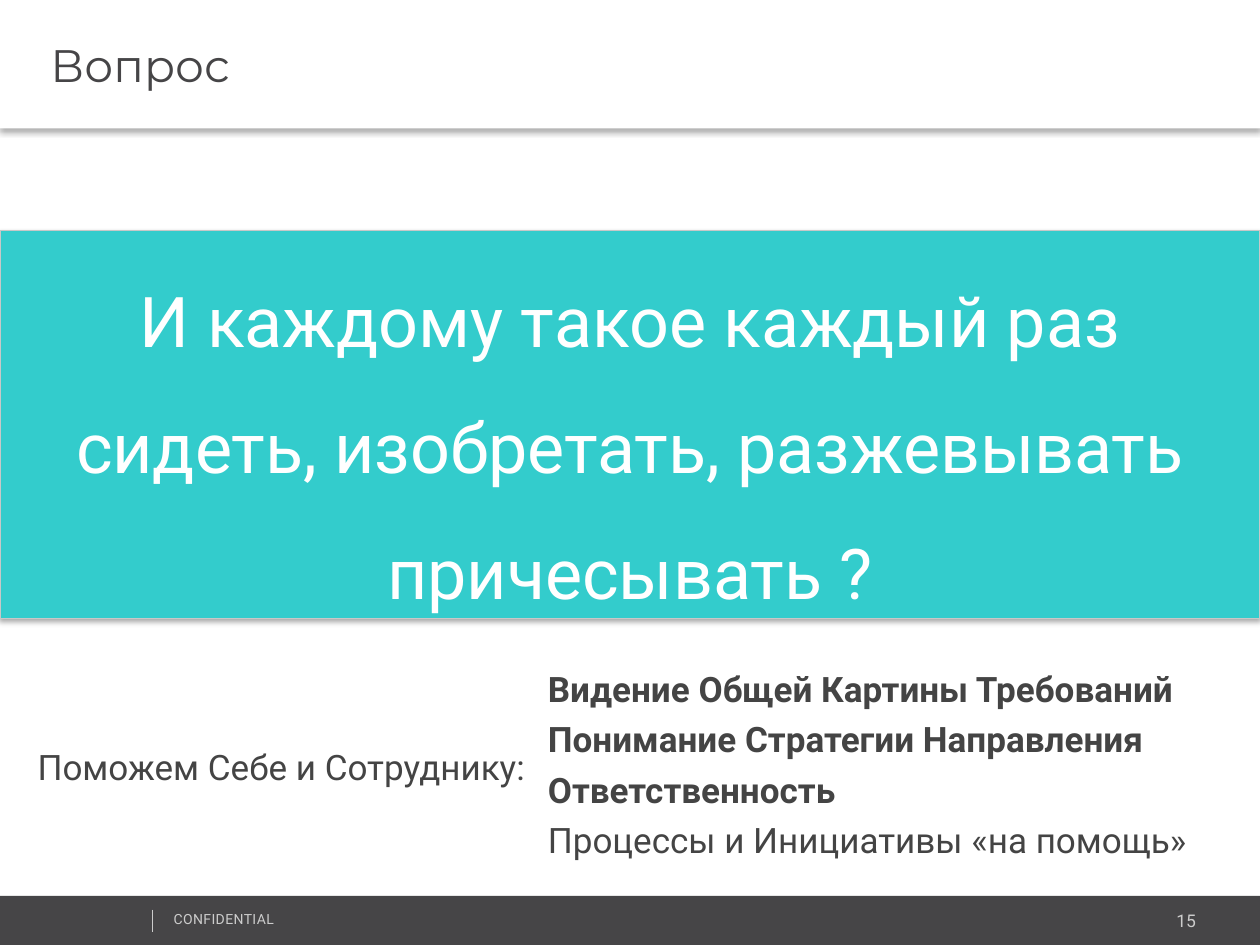
from lxml import etree
from pptx import Presentation
from pptx.dml.color import RGBColor
from pptx.enum.shapes import MSO_CONNECTOR, MSO_SHAPE
from pptx.enum.text import MSO_ANCHOR, PP_ALIGN
from pptx.oxml.ns import qn
from pptx.util import Inches, Pt

RECTANGLE = MSO_SHAPE.RECTANGLE
STRAIGHT = MSO_CONNECTOR.STRAIGHT
LEFT, CENTER, RIGHT = PP_ALIGN.LEFT, PP_ALIGN.CENTER, PP_ALIGN.RIGHT
TOP, MIDDLE = MSO_ANCHOR.TOP, MSO_ANCHOR.MIDDLE

WIDTH, HEIGHT = 10, 7.5
COLUMNS, ROWS = 100, 75
COLORS = {
    "white": "FFFFFF",
    "dark": "464547",
    "text": "444444",
    "teal": "33CCCC",
    "border": "C8C8C8",
    "muted": "CCCCCC",
    "shadow": "000000",
}


def color(name):
    return RGBColor.from_string(COLORS[name])


class SlideBuilder:
    """Draws on one slide; lengths are columns and rows of the grid."""

    font = "Roboto"

    def __init__(self, slide):
        self.slide = slide

    def place(self, column, row):
        return Inches(column * WIDTH / COLUMNS), Inches(row * HEIGHT / ROWS)

    def area(self, box):
        return (*self.place(*box[:2]), *self.place(*box[2:]))

    def panel(self, box, fill, border=None, shadow=None):
        """Rectangle; shadow is (opacity %, blur pt, distance pt)."""
        panel = self.slide.shapes.add_shape(RECTANGLE, *self.area(box))
        panel.fill.solid()
        panel.fill.fore_color.rgb = color(fill)
        if border:
            panel.line.color.rgb = color(border)
            panel.line.width = Pt(0.75)
        else:
            panel.line.fill.background()
        panel.shadow.inherit = False
        if shadow:
            self.cast_shadow(panel, *shadow)
        return panel

    def cast_shadow(self, panel, opacity, blur, distance):
        """Straight-down outer shadow."""
        effects = panel.element.spPr.find(qn("a:effectLst"))
        outer = etree.SubElement(
            effects, qn("a:outerShdw"), blurRad=str(Pt(blur)),
            dist=str(Pt(distance)), dir="5400000", algn="t", rotWithShape="0")
        tint = etree.SubElement(outer, qn("a:srgbClr"), val=COLORS["shadow"])
        etree.SubElement(tint, qn("a:alpha"), val=str(opacity * 1000))

    def set_text(self, frame, lines, size, ink, font=None, align=LEFT,
                 anchor=TOP, spacing=1.0, wrap=True, bold_lines=0, tracking=0):
        """Fill a text frame; the first bold_lines paragraphs are bold."""
        frame.word_wrap = wrap
        frame.vertical_anchor = anchor
        frame.text = "\n".join(lines)
        for index, paragraph in enumerate(frame.paragraphs):
            paragraph.alignment = align
            paragraph.line_spacing = spacing
            for run in paragraph.runs:
                run.font.name = font or self.font
                run.font.size = Pt(size)
                run.font.bold = index < bold_lines
                run.font.color.rgb = color(ink)
                if tracking:
                    run.font._element.set("spc", str(int(tracking * 100)))

    def label(self, box, lines, size, ink, **style):
        label = self.slide.shapes.add_textbox(*self.area(box))
        self.set_text(label.text_frame, lines, size, ink, **style)

    def rule(self, start, end, ink, width):
        rule = self.slide.shapes.add_connector(
            STRAIGHT, *self.place(*start), *self.place(*end))
        rule.line.color.rgb = color(ink)
        rule.line.width = Pt(width)
        etree.SubElement(rule.element.spPr, qn("a:effectLst"))


def main():
    deck = Presentation()
    deck.slide_width, deck.slide_height = Inches(WIDTH), Inches(HEIGHT)
    page = SlideBuilder(deck.slides.add_slide(deck.slide_layouts[6]))

    page.panel((0, 71.1, COLUMNS, 3.9), "dark")
    page.label((79.6, 71.7, 16.3, 2.7), ["15"], 10, "muted", align=RIGHT)
    page.label((12.8, 71.8, 25.3, 2.4), ["CONFIDENTIAL"], 8, "muted",
               tracking=0.2)
    page.rule((12.1, 72.2), (12.1, 74), "muted", 0.25)

    header = page.panel((0, 0, COLUMNS, 10.2), "white", shadow=(30, 3.1, 2))
    header.text_frame.margin_left = page.place(4, 0)[0]
    page.set_text(header.text_frame, ["Вопрос"], 26, "dark",
                  font="Montserrat", anchor=MIDDLE)

    question = page.panel((0, 18.3, COLUMNS, 30.8), "teal", border="border",
                          shadow=(35, 3.1, 1.8))
    page.set_text(question.text_frame,
                  ["И каждому такое каждый раз сидеть, изобретать, "
                   "разжевывать причесывать ?"],
                  40, "white", align=CENTER, anchor=MIDDLE, spacing=1.5)

    page.label((42.5, 51.8, 54.4, 17.2),
               ["Видение Общей Картины Требований",
                "Понимание Стратегии Направления",
                "Ответственность",
                "Процессы и Инициативы «на помощь»"],
               20, "text", spacing=1.2, wrap=False, bold_lines=3)
    page.label((2, 58, 40.7, 4.7), ["Поможем Себе и Сотруднику:"],
               20, "text", spacing=1.2, wrap=False)

    deck.save("out.pptx")


if __name__ == "__main__":
    main()
